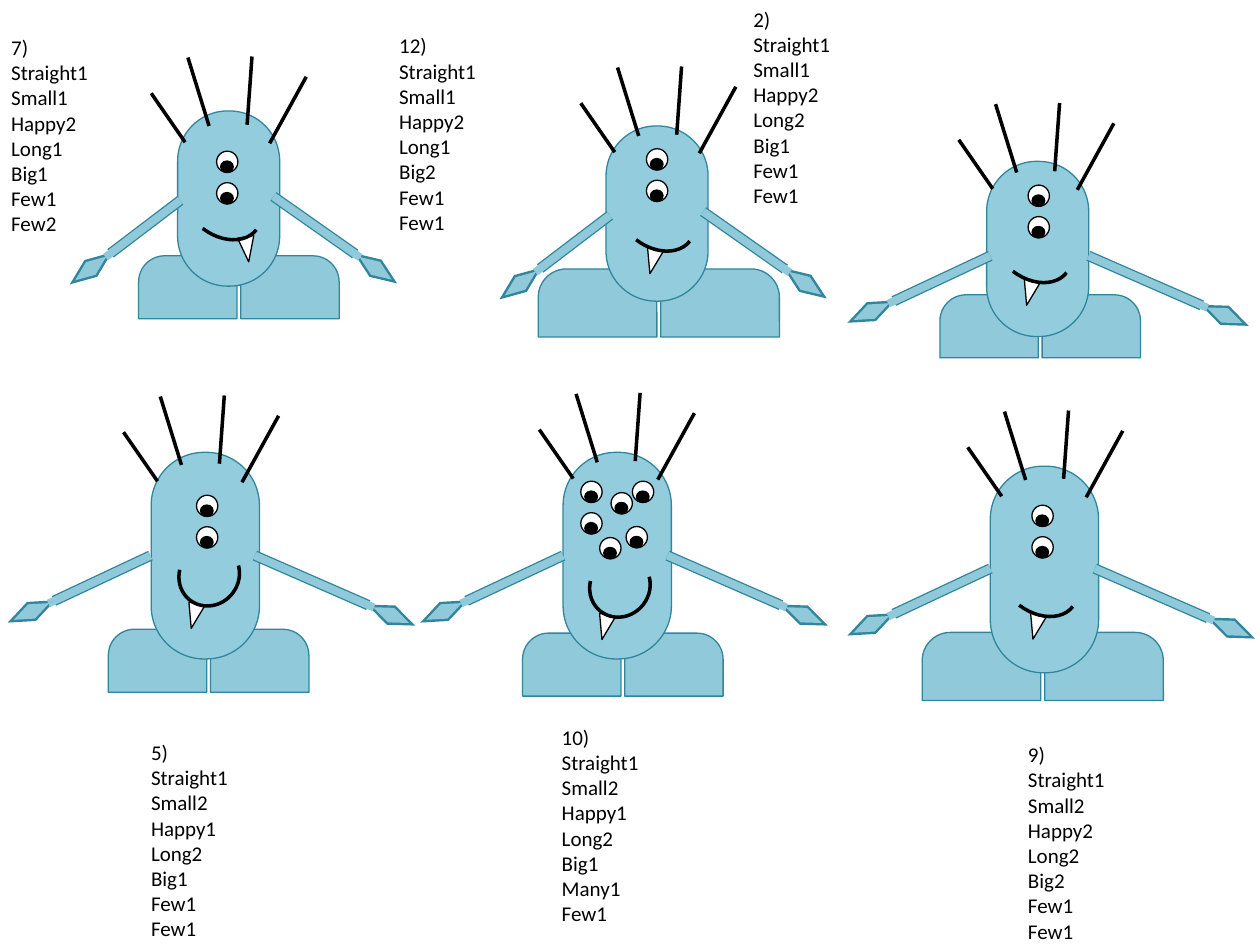
from lxml.etree import SubElement
from pptx import Presentation
from pptx.dml.color import RGBColor
from pptx.enum.shapes import MSO_CONNECTOR, MSO_SHAPE
from pptx.enum.text import MSO_AUTO_SIZE, PP_ALIGN
from pptx.oxml.ns import qn
from pptx.util import Pt

SKIN, LIMB, EDGE, BLACK, WHITE = "93CDDD", "90C9DA", "31859C", "000000", "FFFFFF"

# Number, traits (hair, body, smile, arms, feet, eyes, tooth), then the
# left top corner of each part in points.
MONSTERS = [
    dict(number="7)", traits="Straight1 Small1 Happy2 Long1 Big1 Few1 Few2",
         label=(-0.7, 16.2), body=(101.5, 63.4), feet=(79.2, 146.2), shoulder=(103, 114.5),
         hair=(86.4, 53.3), eyes=(123.8, 86.4), smile=(108.7, 91.4)),
    dict(number="12)", traits="Straight1 Small1 Happy2 Long1 Big2 Few1 Few1",
         label=(221, 15.3), body=(346.3, 72), feet=(307.6, 153.7), shoulder=(348.5, 123.1),
         hair=(331.9, 59), eyes=(369.4, 85), smile=(356.4, 97.9)),
    dict(number="2)", traits="Straight1 Small1 Happy2 Long2 Big1 Few1 Few1",
         label=(423.4, 0), body=(563.8, 92.2), feet=(537.1, 168.5), shoulder=(565.9, 146.2),
         hair=(547.9, 79.9), eyes=(587.5, 105.8), smile=(571.7, 115.9)),
    dict(number="5)", traits="Straight1 Small2 Happy1 Long2 Big1 Few1 Few1",
         label=(79.2, 419), body=(86.4, 258.5), feet=(61.9, 359.6), shoulder=(86, 317.5),
         hair=(70.6, 247), eyes=(112.3, 283), smile=(101.5, 311.8)),
    dict(number="10)", traits="Straight1 Small2 Happy1 Long2 Big1 Many1 Few1",
         label=(313.9, 410.4), body=(321.8, 258.5), feet=(298.6, 361.8), shoulder=(321.8, 317.5),
         hair=(308.2, 245.5), eyes=(331.9, 275), smile=(336.2, 318.2)),
    dict(number="9)", traits="Straight1 Small2 Happy2 Long2 Big2 Few1 Few1",
         label=(580.3, 420.3), body=(565.9, 266.4), feet=(527, 361.4), shoulder=(565.9, 324.9),
         hair=(553, 255.6), eyes=(589.7, 288.7), smile=(575.3, 306.7)),
]

# What each trait looks like, as sizes and offsets in points
HAIRS = [((0, 0), (19.4, 28)), ((21, -20.4), (33.1, 18.7)),
         ((57.6, -21), (54.8, 18)), ((88.6, -9.4), (67.7, 28.6))]
BODY_SIZE = {"Small1": (58.3, 100.1), "Small2": (61.9, 118.1)}
FOOT_SIZE = {"Big1": (56.2, 36), "Big2": (67.8, 38.9)}
FOOT_GAP = 2.2
# Left reach, right reach, inset and rise of the right shoulder
ARMS = {"Long1": ((-51.1, 38.9), (58.3, 41), 5, 2.2),
        "Long2": ((-68, 31.9), (77.8, 34), 2.2, 0)}
EYES = {"Few1": [(0, 0), (0, 18)],
        "Many1": [(0, 0), (0, 18), (17.3, 6.5), (25.9, 25.9), (29.5, 0), (10.8, 32.2)]}
# Size, then start and end angle in degrees clockwise from the right
SMILES = {"Happy1": ((36, 33.8), (214.27, 63.08)), "Happy2": ((36, 49.7), (270, 0))}
ARC_UNITS_PER_DEGREE = 0.6
# Offset and rotation by smile and tooth
TEETH = {("Happy1", "Few1"): (5, 33.1, 11), ("Happy2", "Few1"): (12.2, 44.4, 11),
         ("Happy2", "Few2"): (28.1, 43.9, 350.8)}


def color(code):
    """Turn a hex string into a colour."""
    return RGBColor.from_string(code)


def add_part(shapes, kind, left, top, size, fill, edge, width=0.75, adjust=(), turn=0):
    """Add a preset shape without shadow."""
    part = shapes.add_shape(kind, Pt(left), Pt(top), Pt(size[0]), Pt(size[1]))
    part.shadow.inherit = False
    if fill:
        part.fill.solid()
        part.fill.fore_color.rgb = color(fill)
    else:
        part.fill.background()
    part.line.color.rgb = color(edge)
    part.line.width = Pt(width)
    for i, value in enumerate(adjust):
        part.adjustments[i] = value
    part.rotation = turn
    return part


def add_stroke(shapes, start, end, ink, width, hand=False):
    """Add a straight line, with a diamond hand at its end if asked."""
    stroke = shapes.add_connector(MSO_CONNECTOR.STRAIGHT, *(Pt(v) for v in (*start, *end)))
    stroke.line.color.rgb = color(ink)
    stroke.line.width = Pt(width)
    properties = stroke.element.spPr
    if hand:
        SubElement(properties.find(qn("a:ln")), qn("a:tailEnd"), type="diamond", w="sm", len="lg")
    SubElement(properties, qn("a:effectLst"))


def shift(point, offset):
    """Move a point by an offset."""
    return point[0] + offset[0], point[1] + offset[1]


def draw_feet(shapes, place, feet):
    """Draw the right foot, then the left one."""
    size = FOOT_SIZE[feet]
    group = shapes.add_group_shape().shapes
    for left in (place[0] + size[0] + FOOT_GAP, place[0]):
        add_part(group, MSO_SHAPE.ROUND_2_SAME_RECTANGLE, left, place[1], size, LIMB, EDGE,
                 adjust=(0.414, 0))


def draw_label(shapes, place, lines):
    """Write the number and the traits, one a paragraph."""
    box = shapes.add_textbox(Pt(place[0]), Pt(place[1]), Pt(59), Pt(123.8))
    frame = box.text_frame
    frame.word_wrap = False
    frame.auto_size = MSO_AUTO_SIZE.SHAPE_TO_FIT_TEXT
    for i, line in enumerate(lines):
        paragraph = frame.add_paragraph() if i else frame.paragraphs[0]
        paragraph.alignment = PP_ALIGN.LEFT
        run = paragraph.add_run()
        run.text = line
        run.font.name = "Calibri"
        run.font.size = Pt(12)
        run.font.color.rgb = color(BLACK)


def draw_body(shapes, place, shoulder, body, arms):
    """Draw the body and two outlined arms."""
    size = BODY_SIZE[body]
    add_part(shapes, MSO_SHAPE.ROUNDED_RECTANGLE, *place, size, SKIN, EDGE, adjust=(0.49,))
    left_reach, right_reach, inset, rise = ARMS[arms]
    other = shift(shoulder, (size[0] - inset, -rise))
    group = shapes.add_group_shape().shapes
    for start, reach in ((shoulder, left_reach), (other, right_reach)):
        for ink, width in ((EDGE, 6), (LIMB, 4.5)):
            add_stroke(group, start, shift(start, reach), ink, width, hand=True)


def draw_hair(shapes, place):
    """Draw the four straight hairs."""
    group = shapes.add_group_shape().shapes
    for tip, root in HAIRS:
        add_stroke(group, shift(place, tip), shift(place, root), BLACK, 2)


def draw_eyes(shapes, place, eyes):
    """Draw each eye with its pupil."""
    group = shapes.add_group_shape().shapes
    for offset in EYES[eyes]:
        eye = shift(place, offset)
        add_part(group, MSO_SHAPE.OVAL, *eye, (12.2, 12.2), WHITE, BLACK)
        add_part(group, MSO_SHAPE.OVAL, *shift(eye, (2.3, 5.6)), (7.2, 6.5), BLACK, BLACK)


def draw_mouth(shapes, place, smile, tooth):
    """Draw the hanging tooth and the smile over it."""
    group = shapes.add_group_shape().shapes
    dx, dy, turn = TEETH[smile, tooth]
    fang = add_part(group, MSO_SHAPE.ISOSCELES_TRIANGLE, *shift(place, (dx, dy)), (9.4, 14.4),
                    WHITE, BLACK, adjust=(0.443,), turn=turn)
    fang.element.spPr.find(qn("a:xfrm")).set("flipV", "1")
    size, angles = SMILES[smile]
    add_part(group, MSO_SHAPE.ARC, *place, size, None, BLACK, 2,
             adjust=[angle * ARC_UNITS_PER_DEGREE for angle in angles], turn=127.4)


presentation = Presentation()
presentation.slide_width, presentation.slide_height = Pt(720), Pt(540)
shapes = presentation.slides.add_slide(presentation.slide_layouts[6]).shapes
for monster in MONSTERS:
    traits = monster["traits"].split()
    _, body, smile, arms, feet, eyes, tooth = traits
    draw_feet(shapes, monster["feet"], feet)
    draw_label(shapes, monster["label"], [monster["number"], *traits])
    draw_body(shapes, monster["body"], monster["shoulder"], body, arms)
    draw_hair(shapes, monster["hair"])
    draw_eyes(shapes, monster["eyes"], eyes)
    draw_mouth(shapes, monster["smile"], smile, tooth)
presentation.save("out.pptx")
